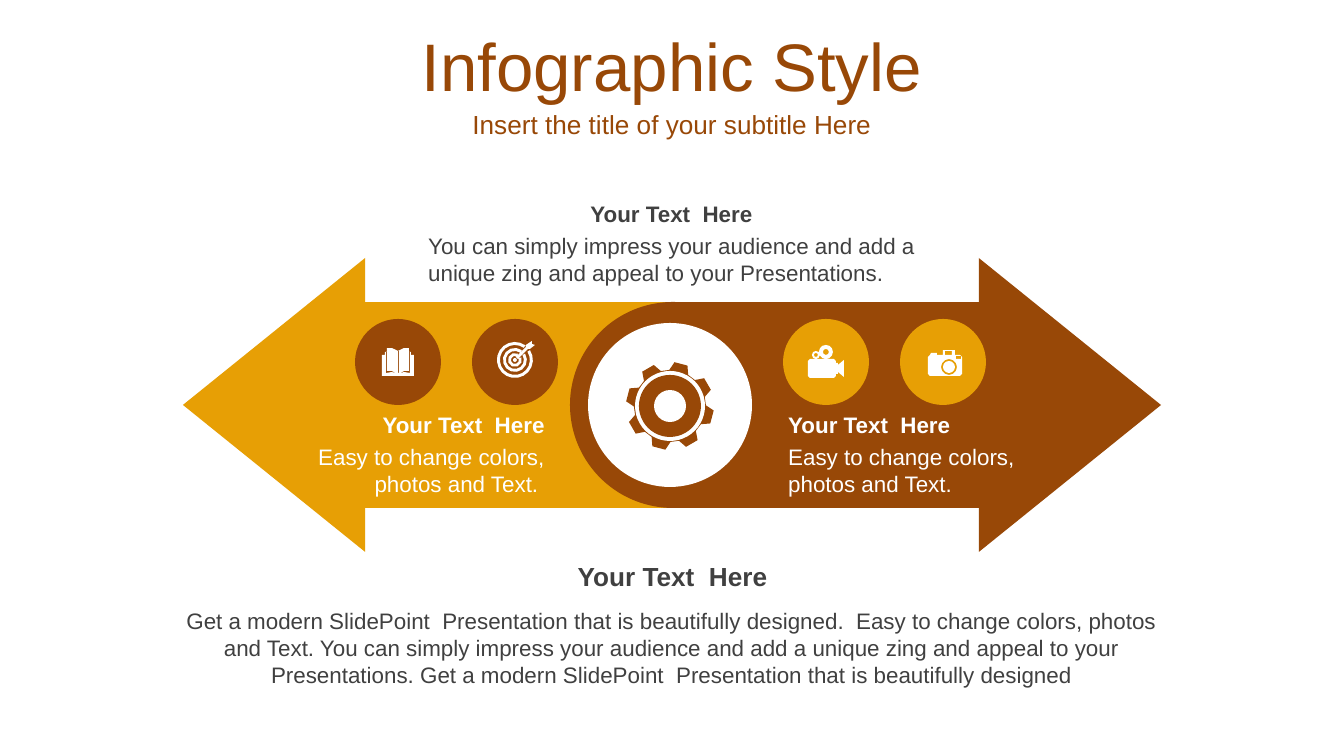
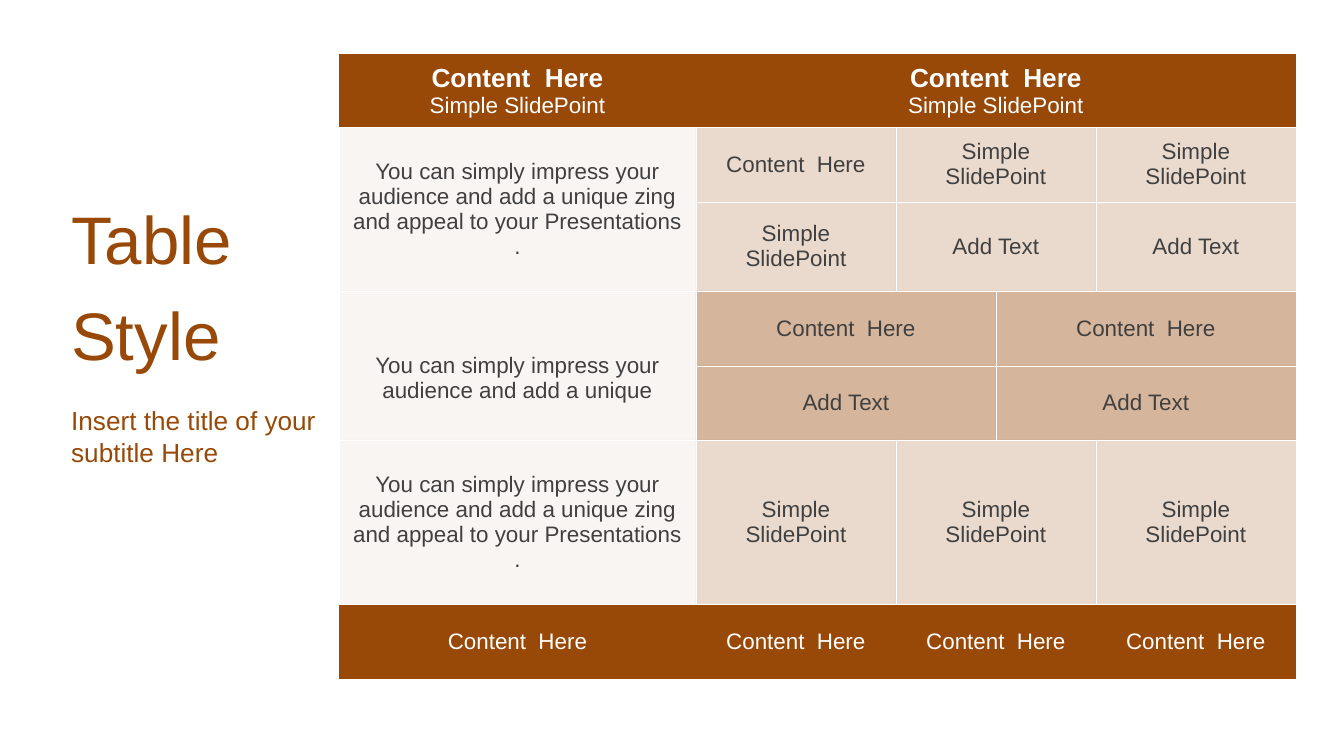
"""Build a two-slide deck: a double-arrow infographic and a merged table."""
from math import cos, radians, sin
from lxml.etree import SubElement
from pptx import Presentation
from pptx.dml.color import RGBColor
from pptx.enum.shapes import MSO_SHAPE
from pptx.enum.text import MSO_ANCHOR, PP_ALIGN
from pptx.oxml.ns import qn
from pptx.util import Pt

BROWN = RGBColor(0x98, 0x48, 0x07)
GOLD = RGBColor(0xE7, 0x9F, 0x05)
WHITE = RGBColor(0xFF, 0xFF, 0xFF)
GREY = RGBColor(0x40, 0x40, 0x40)
FONT = "Arial"
LEFT, MID, RIGHT = PP_ALIGN.LEFT, PP_ALIGN.CENTER, PP_ALIGN.RIGHT
SCALE = 914400 / 134.4

SUB = "Insert the title of your subtitle Here"
HEAD = "Your Text  Here"
EASY = "Easy to change colors, photos and Text."
IMPRESS = "You can simply impress your audience and add a unique"
ZING = IMPRESS + " zing and appeal to your Presentations"
MODERN = "Get a modern SlidePoint  Presentation that is beautifully designed"
LONG = f"{MODERN}.  {EASY} {ZING}. {MODERN}"

TITLES = [
    [((0, 22, 1344, 85), "Infographic Style", 36, MID),
     ((0, 103, 1344, 42), SUB, 14, MID)],
    [((58, 180, 290, 211), "Table\nStyle", 36, LEFT),
     ((58, 399, 292, 74), SUB, 14, LEFT)],
]
NOTES = [
    ((775, 437, 309, 67), EASY, 12, WHITE, LEFT, False),
    ((775, 405, 309, 40), HEAD, 12, WHITE, LEFT, True),
    ((249, 437, 309, 67), EASY + " ", 12, WHITE, RIGHT, False),
    ((249, 405, 309, 40), HEAD, 12, WHITE, RIGHT, True),
    ((415, 226, 530, 67), ZING + ".", 12, GREY, LEFT, False),
    ((398, 194, 547, 40), HEAD, 12, GREY, MID, True),
    ((156, 601, 1032, 95), LONG, 12, GREY, MID, False),
    ((399, 554, 547, 46), HEAD, 14, GREY, MID, True),
]
DISCS = [(355, BROWN), (472, BROWN), (783, GOLD), (900, GOLD)]
HUB = [(35, WHITE), (31, BROWN), (16, WHITE)]

COLS = [357, 200, 100, 100, 200]
ROWS = [73, 75, 89, 75, 74, 164, 75]
TOP = "Content  Here\nSimple SlidePoint"
CON, SIM, ADD = "Content  Here", "Simple SlidePoint", "Add Text"
CELLS = [
    [(0, TOP), (1, TOP)],
    [(0, ZING + " ."), (1, CON), (2, SIM), (4, SIM)],
    [(1, SIM), (2, ADD), (4, ADD)],
    [(0, IMPRESS), (1, CON), (3, CON)],
    [(1, ADD), (3, ADD)],
    [(0, ZING + " ."), (1, SIM), (2, SIM), (4, SIM)],
    [(0, CON), (1, CON), (2, CON), (4, CON)],
]
TALL = [1, 3]
TINTS = [100, 20, 20, 40, 40, 20, 100]
PALE = 5


def px(num):
    return round(num * SCALE)


def polar(rad, deg, x=0, y=0):
    return x + rad * sin(radians(deg)), y - rad * cos(radians(deg))


def ring(rad, x=0, y=0):
    step = 45 if rad < 5 else 30
    return [polar(rad, deg, x, y) for deg in range(0, 360, step)]


def band(out, inn, start, end):
    turn = [start + (end - start) * n / out for n in range(out + 1)]
    return ([polar(out, deg) for deg in turn]
            + [polar(inn, deg) for deg in reversed(turn)])


def box(x, y, right, low):
    return [(x, y), (right, y), (right, low), (x, low)]


def flip(pts):
    return [(-x, y) for x, y in reversed(pts)]


def gear():
    tooth = [(36, -1), (44, 6), (44, 23.5), (36, 30.5)]
    return [[polar(rad, deg + step) for step in range(0, 360, 45)
             for rad, deg in tooth]]


def book():
    half = [(0, -11), (6, -14), (11, -14), (11, -10), (13, -10),
            (13, -7), (16, -7), (16, 14)]
    slit = [(11, -10), (12, -10), (12, 11), (6, 10), (1, 12), (6, 9), (11, 9)]
    return [half + flip(half), slit, flip(slit), box(0, -11, 1, 11)]


def target():
    dart = [(17, -19), (17, -16), (20, -15), (15, -11), (13, -11),
            (3, -1), (1, -3), (11, -13), (11, -15)]
    return [band(18, 15, 57, 396), band(12, 9, 58, 395),
            band(7, 4, 68, 387), ring(2), dart]


def movie():
    body = [(-16, -2), (8, -2), (10, 0), (10, 2), (12, 2), (12, 4), (18, -1),
            (18, 16), (12, 11), (12, 13), (10, 13), (10, 15), (8, 17),
            (-16, 17), (-18, 15), (-18, 0)]
    return [body, ring(7, 0, -9), ring(3, 0, -9),
            ring(4, -10, -6), ring(2, -10, -6)]


def photo():
    body = [(-15, -8), (-14, -10), (-8, -10), (-8, -8), (-2, -8), (-2, -13),
            (10, -13), (10, -8), (15, -8), (17, -6), (17, 11), (15, 13),
            (-15, 13), (-17, 11), (-17, -6)]
    return [body, ring(8, 4, 4), ring(6, 4, 4), box(0, -12, 7, -8),
            box(11, -7, 16, -4)]


ICONS = [(670, 406, gear, BROWN), (398, 362, book, WHITE),
         (515, 360, target, WHITE), (826, 361, movie, WHITE),
         (945, 363, photo, WHITE)]


def paint(shape, color):
    shape.shadow.inherit = False
    shape.fill.solid()
    shape.fill.fore_color.rgb = color
    shape.line.fill.background()
    return shape


def form(slide, kind, area, color):
    return paint(slide.shapes.add_shape(kind, *map(px, area)), color)


def draw(slide, x, y, paths, color):
    pen = None
    for path in paths:
        pts = [(px(x + dx), px(y + dy)) for dx, dy in path]
        if pen is None:
            pen = slide.shapes.build_freeform(*pts[0], scale=1.0)
        else:
            pen.move_to(*pts[0])
        pen.add_line_segments(pts[1:], close=True)
    paint(pen.convert_to_shape(), color)


def style(para, size, color, align, bold=False):
    para.alignment = align
    for run in para.runs:
        run.font.name = FONT
        run.font.size = Pt(size)
        run.font.bold = bold
        run.font.color.rgb = color


def write(slide, area, text, size, color, align, bold=False):
    frame = slide.shapes.add_textbox(*map(px, area)).text_frame
    frame.word_wrap = True
    frame.text = text
    for para in frame.paragraphs:
        style(para, size, color, align, bold)
    for para in frame.paragraphs[1:]:
        para.space_before = Pt(8)
    return frame


def start(deck, titles):
    slide = deck.slides.add_slide(deck.slide_layouts[6])
    for area, text, size, align in titles:
        frame = write(slide, area, text, size, BROWN, align)
        frame.vertical_anchor = MSO_ANCHOR.MIDDLE
    return slide


def edge(cell, sides):
    props = cell._tc.get_or_add_tcPr()
    for side in "LRTB":
        line = SubElement(props, qn("a:ln" + side), w=str(Pt(0.25)))
        if side in sides:
            fill = SubElement(line, qn("a:solidFill"))
            SubElement(fill, qn("a:srgbClr"), val=str(WHITE))
        else:
            SubElement(line, qn("a:noFill"))


def shade(cell, tint):
    cell.fill.solid()
    cell.fill.fore_color.rgb = BROWN
    if tint < 100:
        color = cell._tc.tcPr.find(qn("a:solidFill"))[0]
        SubElement(color, qn("a:alpha"), val=str(tint * 1000))


def arrows(deck):
    slide = start(deck, TITLES[0])

    def arrow(x, color):
        shape = form(slide, MSO_SHAPE.LEFT_ARROW, (x, 258, 489, 294), color)
        shape.adjustments[0] = 0.7
        shape.adjustments[1] = 0.62
        return shape

    def disc(x, y, size, color):
        form(slide, MSO_SHAPE.OVAL, (x, y, size, size), color)

    arrow(183, GOLD)
    disc(570, 302, 206, BROWN)
    arrow(672, BROWN).rotation = 180
    disc(588, 323, 164, WHITE)
    for x, color in DISCS:
        disc(x, 319, 86, color)
    for x, y, icon, color in ICONS:
        draw(slide, x, y, icon(), color)
    x, y = ICONS[0][:2]
    for rad, color in HUB:
        disc(x - rad, y - rad, 2 * rad, color)
    for note in NOTES:
        write(slide, *note)


def grid(deck):
    slide = start(deck, TITLES[1])
    area = map(px, (339, 54, sum(COLS), sum(ROWS)))
    table = slide.shapes.add_table(len(ROWS), len(COLS), *area).table
    for col, wide in zip(table.columns, COLS):
        col.width = px(wide)
    last = len(ROWS) - 1
    for r, high in enumerate(ROWS):
        table.rows[r].height = px(high)
        sides = {0: "B", last: "T"}.get(r, "LRTB")
        for c in range(len(COLS)):
            cell = table.cell(r, c)
            edge(cell, sides)
            shade(cell, PALE if c == 0 and 0 < r < last else TINTS[r])
    for r, row in enumerate(CELLS):
        ends = [c for c, _ in row[1:]] + [len(COLS)]
        for (c, text), end in zip(row, ends):
            cell = table.cell(r, c)
            low = r + (c == 0 and r in TALL)
            if (low, end - 1) != (r, c):
                cell.merge(table.cell(low, end - 1))
            cell.text_frame.text = text
            cell.vertical_anchor = MSO_ANCHOR.MIDDLE
            if text == IMPRESS:
                cell.margin_top = px(32)
            color = WHITE if r in (0, last) else GREY
            for n, para in enumerate(cell.text_frame.paragraphs):
                lead = r == 0 and n == 0
                style(para, 14 if lead else 12, color, MID, lead)


def main():
    deck = Presentation()
    deck.slide_width, deck.slide_height = px(1344), px(756)
    arrows(deck)
    grid(deck)
    deck.save("out.pptx")


if __name__ == "__main__":
    main()
